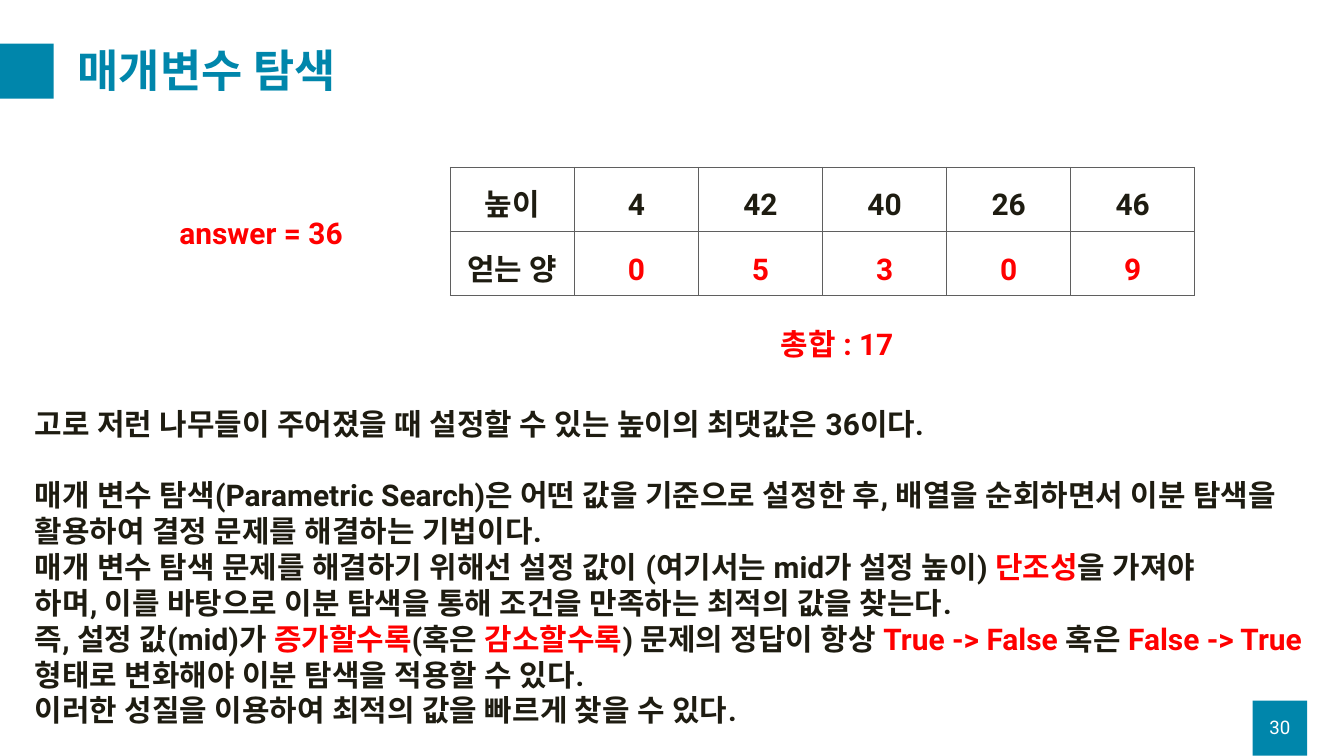
from pptx import Presentation
from pptx.dml.color import RGBColor
from pptx.enum.shapes import MSO_SHAPE
from pptx.enum.text import MSO_ANCHOR, PP_ALIGN
from pptx.oxml.ns import qn
from pptx.util import Cm, Pt
from lxml.etree import SubElement

TEAL = RGBColor(0x00, 0x86, 0xAB)
RED = RGBColor(0xFF, 0x00, 0x00)
INK = RGBColor(0x1E, 0x1C, 0x11)
WHITE = RGBColor(0xFF, 0xFF, 0xFF)
GRAY = "5F5F5F"
FONT = "Roboto"

TITLE = "매개변수 탐색"
PAGE = "30"
ROWS = [
    ("높이", "4", "42", "40", "26", "46"),
    ("얻는 양", "0", "5", "3", "0", "9"),
]
NOTES = [
    ("answer = 36", 6.53, 8, 13.79),
    ("총합 : 17", 29.26, 12.19, 12.09),
]
BODY = [
    [("고로 저런 나무들이 주어졌을 때 설정할 수 있는 높이의 최댓값은 36이다.", INK)],
    [("매개 변수 탐색(Parametric Search)은 어떤 값을 기준으로 설정한 후, "
      "배열을 순회하면서 이분 탐색을 활용하여 결정 문제를 해결하는 기법이다.", INK)],
    [("매개 변수 탐색 문제를 해결하기 위해선 설정 값이 (여기서는 mid가 설정 높이) ", INK),
     ("단조성", RED), ("을 가져야", INK)],
    [("하며, 이를 바탕으로 이분 탐색을 통해 조건을 만족하는 최적의 값을 찾는다.", INK)],
    [("즉, 설정 값(mid)가 ", INK), ("증가할수록", RED), ("(혹은 ", INK),
     ("감소할수록", RED), (") 문제의 정답이 항상 ", INK), ("True -> False ", RED),
     ("혹은 ", INK), ("False -> True ", RED),
     ("형태로 변화해야 이분 탐색을 적용할 수 있다.", INK)],
    [("이러한 성질을 이용하여 최적의 값을 빠르게 찾을 수 있다.", INK)],
]
GAP = Pt(38)


def add_run(para, text, color, size=32, bold=True):
    run = para.add_run()
    run.text = text
    font = run.font
    font.name, font.size, font.bold = FONT, Pt(size), bold
    font.color.rgb = color
    SubElement(font._element, qn("a:ea"), typeface=FONT)


def add_box(slide, left, top, width, height, anchor=MSO_ANCHOR.TOP):
    box = slide.shapes.add_textbox(Cm(left), Cm(top), Cm(width), Cm(height))
    frame = box.text_frame
    frame.word_wrap = True
    frame.vertical_anchor = anchor
    return frame


def add_block(slide, left, top):
    block = slide.shapes.add_shape(
        MSO_SHAPE.RECTANGLE, Cm(left), Cm(top), Cm(2.06), Cm(2.08))
    block.shadow.inherit = False
    block.fill.solid()
    block.fill.fore_color.rgb = TEAL
    block.line.fill.background()


def add_edges(cell):
    props = cell._tc.get_or_add_tcPr()
    for place, side in enumerate(("a:lnL", "a:lnR", "a:lnT", "a:lnB")):
        edge = props.makeelement(qn(side), {"w": str(Pt(1))})
        props.insert(place, edge)
        fill = SubElement(edge, qn("a:solidFill"))
        SubElement(fill, qn("a:srgbClr"), val=GRAY)


def add_grid(slide):
    wide, high = Cm(4.69), Cm(2.43)
    count = len(ROWS[0])
    table = slide.shapes.add_table(
        len(ROWS), count, Cm(17.02), Cm(6.32),
        wide * count, high * len(ROWS)).table
    table.first_row = table.horz_banding = False
    for col in table.columns:
        col.width = wide
    for r, row in enumerate(ROWS):
        table.rows[r].height = high
        for c, text in enumerate(row):
            cell = table.cell(r, c)
            cell.fill.background()
            add_edges(cell)
            para = cell.text_frame.paragraphs[0]
            para.alignment = PP_ALIGN.CENTER
            para.line_spacing = 1.5
            add_run(para, text, RED if r and c else INK)


def add_body(slide):
    frame = add_box(slide, 1.07, 15.21, 49.73, 12.57)
    for i, line in enumerate(BODY):
        para = frame.add_paragraph() if i else frame.paragraphs[0]
        if i == 1:
            para.space_before = GAP
        for text, color in line:
            add_run(para, text, color)


def main():
    deck = Presentation()
    deck.slide_width, deck.slide_height = Cm(50.8), Cm(28.58)
    slide = deck.slides.add_slide(deck.slide_layouts[6])

    add_block(slide, 47.35, 26.49)
    add_block(slide, -0.03, 1.65)

    head = add_box(slide, 2.69, 1.27, 46.36, 3, MSO_ANCHOR.MIDDLE).paragraphs[0]
    head.line_spacing = 0.9
    add_run(head, TITLE, TEAL, 48)

    page = add_box(slide, 47.35, 26.72, 2.06, 1.52, MSO_ANCHOR.MIDDLE).paragraphs[0]
    page.alignment = PP_ALIGN.CENTER
    add_run(page, PAGE, WHITE, 20, False)

    add_grid(slide)
    for text, left, top, width in NOTES:
        note = add_box(slide, left, top, width, 1.63)
        add_run(note.paragraphs[0], text, RED)
    add_body(slide)
    deck.save("out.pptx")


if __name__ == "__main__":
    main()
